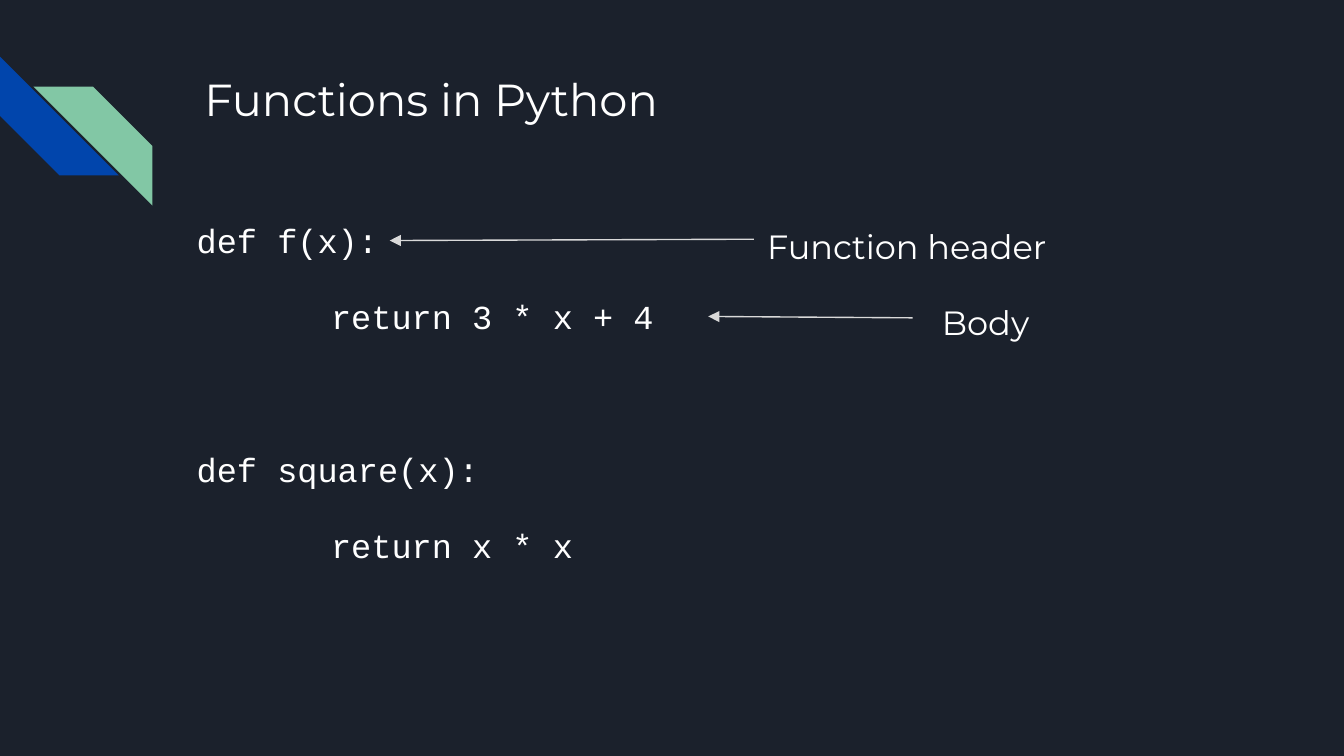
import dataclasses

import lxml.etree
import pptx
import pptx.dml.color
import pptx.enum.shapes
import pptx.enum.text
import pptx.oxml.ns
import pptx.shapes.base
import pptx.slide
import pptx.text.text
import pptx.util

EMU_PER_PX = 4572  # 200 px to the inch
SLIDE_WIDTH, SLIDE_HEIGHT = 2000, 1125
BACKGROUND = "1B212C"
WHITE = "FFFFFF"
ARROW_GREY = "D9D9D9"
SANS = "Montserrat"
MONO = "Courier New"
INSET = 20
INDENT = 200
PARAGRAPH_GAP = 16
BLOCK_GAP = 57


@dataclasses.dataclass(frozen=True)
class Box:
    left: int
    top: int
    width: int
    height: int


@dataclasses.dataclass(frozen=True)
class Stripe:
    box: Box
    color: str
    rotation: int = 0
    mirrored: bool = False


@dataclasses.dataclass(frozen=True)
class CodeLine:
    text: str
    indent: int = 0
    space_before: int = PARAGRAPH_GAP


@dataclasses.dataclass(frozen=True)
class Annotation:
    text: str
    box: Box
    start: tuple[int, int]
    end: tuple[int, int]


STRIPES = [
    Stripe(Box(0, 84, 177, 177), "0145AC", rotation=270),
    Stripe(Box(50, 129, 177, 177), "82C7A5", mirrored=True),
]
TITLE_BOX = Box(284, 87, 1540, 200)
CODE_BOX = Box(273, 298, 1540, 636)
CODE = [
    CodeLine("def f(x):", space_before=0),
    CodeLine("return 3 * x + 4", INDENT),
    CodeLine("def square(x):", space_before=BLOCK_GAP),
    CodeLine("return x * x", INDENT),
]
ANNOTATIONS = [
    Annotation("Function header", Box(1122, 316, 492, 80), (1122, 356), (580, 358)),
    Annotation("Body", Box(1382, 430, 366, 80), (1358, 473), (1054, 471)),
]


def px(length: int) -> pptx.util.Emu:
    return pptx.util.Emu(length * EMU_PER_PX)


def rgb(color: str) -> pptx.dml.color.RGBColor:
    return pptx.dml.color.RGBColor.from_string(color)


def place(shape: pptx.shapes.base.BaseShape, box: Box) -> None:
    shape.left, shape.top = px(box.left), px(box.top)
    shape.width, shape.height = px(box.width), px(box.height)


def format_frame(frame: pptx.text.text.TextFrame) -> None:
    frame.word_wrap = True
    frame.auto_size = pptx.enum.text.MSO_AUTO_SIZE.NONE
    frame.vertical_anchor = pptx.enum.text.MSO_ANCHOR.TOP
    frame.margin_left = frame.margin_right = px(INSET)
    frame.margin_top = frame.margin_bottom = px(INSET)


def add_run(paragraph, text: str, font_name: str, size: int) -> None:
    paragraph.alignment = pptx.enum.text.PP_ALIGN.LEFT
    run = paragraph.add_run()
    run.text = text
    run.font.name = font_name
    run.font.size = pptx.util.Pt(size)
    run.font.color.rgb = rgb(WHITE)


def add_text_frame(slide: pptx.slide.Slide, box: Box) -> pptx.text.text.TextFrame:
    shape = slide.shapes.add_textbox(0, 0, 0, 0)
    place(shape, box)
    format_frame(shape.text_frame)
    return shape.text_frame


def add_stripe(slide: pptx.slide.Slide, stripe: Stripe) -> None:
    shape = slide.shapes.add_shape(
        pptx.enum.shapes.MSO_SHAPE.DIAGONAL_STRIPE, 0, 0, 0, 0
    )
    place(shape, stripe.box)
    shape.rotation = stripe.rotation
    shape.adjustments[0] = 0.5
    shape.shadow.inherit = False
    shape.fill.solid()
    shape.fill.fore_color.rgb = rgb(stripe.color)
    shape.line.fill.background()
    if stripe.mirrored:
        shape.element.spPr.find(pptx.oxml.ns.qn("a:xfrm")).set("flipH", "1")


def add_title(slide: pptx.slide.Slide, text: str) -> None:
    title = slide.shapes.title
    place(title, TITLE_BOX)
    format_frame(title.text_frame)
    add_run(title.text_frame.paragraphs[0], text, SANS, 24)


def add_code(slide: pptx.slide.Slide, lines: list[CodeLine]) -> None:
    frame = add_text_frame(slide, CODE_BOX)
    for index, line in enumerate(lines):
        paragraph = frame.add_paragraph() if index else frame.paragraphs[0]
        paragraph.line_spacing = 1.15
        paragraph.space_before = pptx.util.Pt(line.space_before)
        add_run(paragraph, line.text, MONO, 18)
        properties = paragraph._p.get_or_add_pPr()
        properties.set("marL", str(px(line.indent)))
        properties.set("indent", "0")


def add_arrow(
    slide: pptx.slide.Slide, start: tuple[int, int], end: tuple[int, int]
) -> None:
    connector = slide.shapes.add_connector(
        pptx.enum.shapes.MSO_CONNECTOR.STRAIGHT, *map(px, start + end)
    )
    connector.line.color.rgb = rgb(ARROW_GREY)
    connector.line.width = pptx.util.Pt(0.75)
    qn = pptx.oxml.ns.qn
    line = connector.element.spPr.find(qn("a:ln"))
    lxml.etree.SubElement(line, qn("a:tailEnd"), type="triangle")
    lxml.etree.SubElement(connector.element.spPr, qn("a:effectLst"))


def add_annotation(slide: pptx.slide.Slide, annotation: Annotation) -> None:
    frame = add_text_frame(slide, annotation.box)
    add_run(frame.paragraphs[0], annotation.text, SANS, 18)
    add_arrow(slide, annotation.start, annotation.end)


def main() -> None:
    presentation = pptx.Presentation()
    presentation.slide_width = px(SLIDE_WIDTH)
    presentation.slide_height = px(SLIDE_HEIGHT)
    slide = presentation.slides.add_slide(presentation.slide_layouts[5])
    slide.background.fill.solid()
    slide.background.fill.fore_color.rgb = rgb(BACKGROUND)

    # Corner decoration
    for stripe in STRIPES:
        add_stripe(slide, stripe)

    # Title and code
    add_title(slide, "Functions in Python")
    add_code(slide, CODE)

    # Labels with arrows pointing at the code
    for annotation in ANNOTATIONS:
        add_annotation(slide, annotation)

    presentation.save("out.pptx")


if __name__ == "__main__":
    main()
